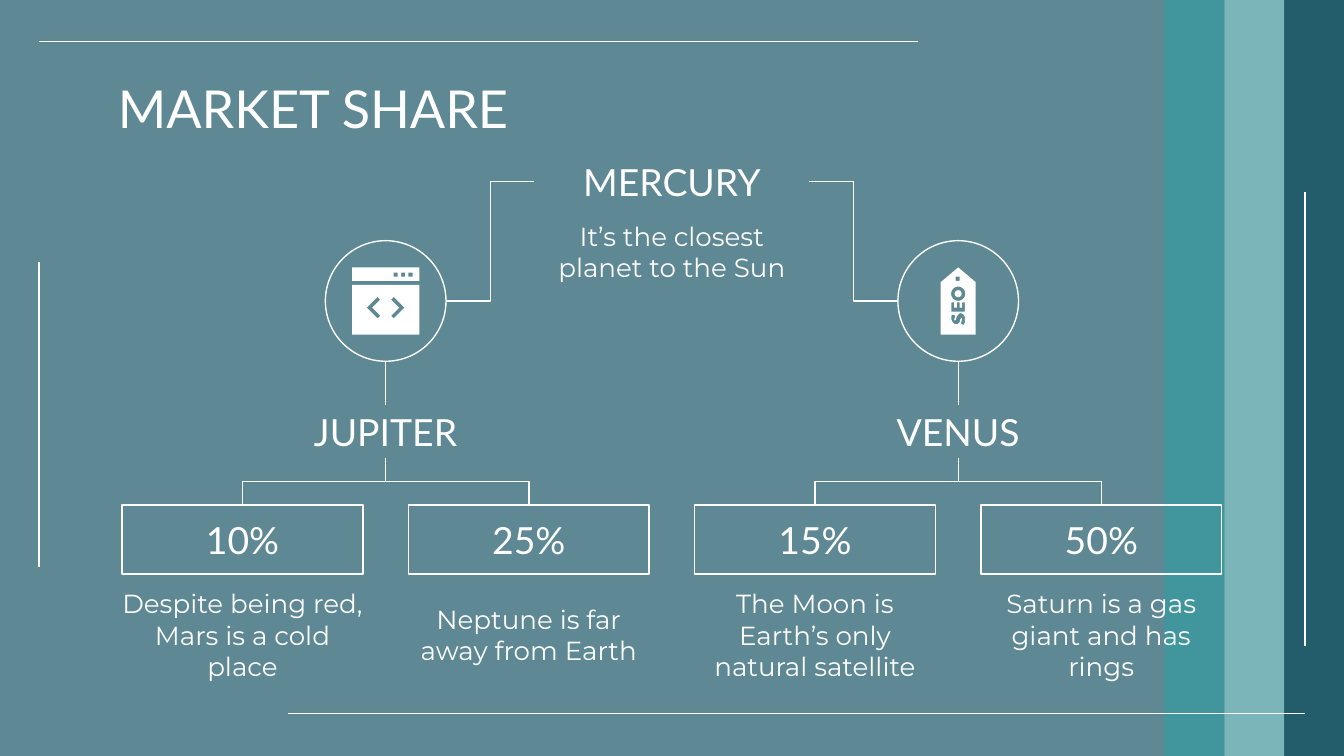
import math

from lxml import etree
from pptx import Presentation
from pptx.dml.color import RGBColor
from pptx.enum import shapes, text
from pptx.oxml.ns import qn
from pptx.util import Cm, Pt

COLORS = {"white": "FFFFFF", "deep": "014355", "pale": "98E0E0", "teal": "20A7A7"}
HEADING, BODY = "Lato", "Montserrat"
WIDTH, HEIGHT, MIDDLE = 25.4, 14.29, 12.7
STRIPE = 1.13
LABEL_WIDTH, LABEL_HEIGHT, BODY_HEIGHT = 5.2, 1.02, 1.6
COLUMN_PITCH = 5.41
CIRCLE, CIRCLE_Y = 2.28, 5.69
LABEL_TOP, LABEL_BOTTOM = 7.65, 8.65
BOX_TOP, BOX_WIDTH, BOX_HEIGHT = 9.55, 4.55, 1.3
ICON_SIZE, ICON_UNITS = 1.27, 50

BRANCHES = [
    ("JUPITER", [("10%", "Despite being red, Mars is a cold place"),
                 ("25%", "Neptune is far away from Earth")]),
    ("VENUS", [("15%", "The Moon is Earth’s only natural satellite"),
               ("50%", "Saturn is a gas giant and has rings")]),
]


def rgb(name):
    return RGBColor.from_string(COLORS[name])


def add_outline(slide, kind, left, top, width, height):
    """Add an unfilled preset shape with a thin white line."""
    shape = slide.shapes.add_shape(kind, Cm(left), Cm(top), Cm(width), Cm(height))
    shape.shadow.inherit = False
    shape.fill.background()
    shape.line.color.rgb = rgb("white")
    shape.line.width = Pt(0.75)
    return shape


def add_panel(slide, left, width, color, opacity):
    """Add a full-height translucent panel."""
    shape = add_outline(slide, shapes.MSO_SHAPE.RECTANGLE, left, 0, width, HEIGHT)
    shape.line.fill.background()
    shape.fill.solid()
    shape.fill.fore_color.rgb = rgb(color)
    fill_color = shape.fill._xPr.find(qn("a:solidFill"))[0]
    etree.SubElement(fill_color, qn("a:alpha")).set("val", str(opacity * 1000))


def write(shape, wording, size, font=HEADING, align=text.PP_ALIGN.CENTER,
          anchor=text.MSO_ANCHOR.MIDDLE):
    frame = shape.text_frame
    frame.word_wrap = True
    frame.vertical_anchor = anchor
    frame.margin_left = frame.margin_right = Cm(0.25)
    frame.margin_top = frame.margin_bottom = Cm(0.25)
    paragraph = frame.paragraphs[0]
    paragraph.text = wording
    paragraph.alignment = align
    paragraph.font.name = font
    paragraph.font.size = Pt(size)
    paragraph.font.color.rgb = rgb("white")


def add_label(slide, center, top, height, wording, size, font=HEADING):
    box = slide.shapes.add_textbox(Cm(center - LABEL_WIDTH / 2), Cm(top),
                                   Cm(LABEL_WIDTH), Cm(height))
    write(box, wording, size, font)


def add_line(slide, x1, y1, x2, y2, kind=shapes.MSO_CONNECTOR.STRAIGHT):
    connector = slide.shapes.add_connector(kind, Cm(x1), Cm(y1), Cm(x2), Cm(y2))
    connector.line.color.rgb = rgb("white")
    connector.line.width = Pt(0.75)
    etree.SubElement(connector._element.spPr, qn("a:effectLst"))
    return connector


def add_drop_elbow(slide, x1, y1, x2, y2):
    """Add an elbow that leaves downwards: a turned sideways elbow."""
    x, y = (x1 + x2) / 2, (y1 + y2) / 2
    side = 1 if x2 > x1 else -1
    half_run, half_drop = abs(x2 - x1) / 2, (y2 - y1) / 2
    connector = add_line(slide, x + side * half_drop, y - half_run,
                         x - side * half_drop, y + half_run,
                         shapes.MSO_CONNECTOR.ELBOW)
    angle = 270 if side > 0 else 90
    connector._element.spPr.xfrm.set("rot", str(angle * 60000))


def add_icon_part(slide, left, contours):
    """Fill the first contour; later ones are cut out. Points are icon units."""
    unit = Cm(ICON_SIZE) / ICON_UNITS
    scaled = [[(x * unit, y * unit) for x, y in contour] for contour in contours]
    builder = slide.shapes.build_freeform(*scaled[0][0], scale=1.0)
    for number, contour in enumerate(scaled):
        if number:
            builder.move_to(*contour[0])
        builder.add_line_segments(contour[1:], close=True)
    shape = builder.convert_to_shape(Cm(left), Cm(CIRCLE_Y - ICON_SIZE / 2))
    shape.shadow.inherit = False
    shape.fill.solid()
    shape.fill.fore_color.rgb = rgb("white")
    shape.line.fill.background()


def rectangle(left, top, right, bottom):
    return [(left, top), (right, top), (right, bottom), (left, bottom)]


def ring_edge(x, y, radius, steps=32):
    angles = [2 * math.pi * step / steps for step in range(steps)]
    return [(x + radius * math.cos(a), y + radius * math.sin(a)) for a in angles]


def add_code_window(slide, center):
    left = center - ICON_SIZE / 2
    buttons = [rectangle(x, 4, x + 3, 7) for x in (31, 36.5, 42)]
    add_icon_part(slide, left, [rectangle(0, 0, 50, 10)] + buttons)
    chevron = [(19, 22), (21, 24), (15, 30), (21, 36), (19, 38), (11, 30)]
    mirrored = [(ICON_UNITS - x, y) for x, y in chevron]
    add_icon_part(slide, left, [rectangle(0, 13, 50, 50), chevron, mirrored])


def add_seo_tag(slide, center):
    tag = [(13, 0), (26, 11), (26, 50), (0, 50), (0, 11)]
    letter_e = [(18, 26), (18, 33), (8, 33), (8, 26), (10, 26), (10, 30),
                (12, 30), (12, 26), (14, 26), (14, 30), (16, 30), (16, 26)]
    letter_s = [(15, 34), (17, 35), (18, 37), (18, 41), (17, 43), (15, 42),
                (15.5, 40), (16, 38), (15.5, 37.5), (15, 38), (14.5, 39),
                (14, 41), (13, 42), (12, 42.3), (10, 42), (9, 41), (8, 39),
                (8, 36), (9, 35), (11, 36), (10.5, 37.5), (10, 39),
                (10.5, 39.5), (11, 39.3), (11.5, 38), (12, 36.5), (13, 35),
                (14, 34.3)]
    add_icon_part(slide, center - 13 * ICON_SIZE / ICON_UNITS,
                  [tag, rectangle(11, 7, 14, 10), ring_edge(13, 19.6, 5.3),
                   ring_edge(13, 19.6, 2.6), letter_e, letter_s])


def add_backdrop(slide):
    add_panel(slide, 0, WIDTH, "deep", 63)
    for number, (color, opacity) in enumerate(
            [("deep", 63), ("pale", 50), ("teal", 47)], start=1):
        add_panel(slide, WIDTH - number * STRIPE, STRIPE, color, opacity)
    for ends in [(24.66, 3.63, 24.66, 12.22), (24.66, 13.49, 5.44, 13.49),
                 (0.74, 0.79, 17.35, 0.79), (0.74, 4.95, 0.74, 10.72)]:
        add_line(slide, *ends)


def add_share(slide, center, share, note):
    box = add_outline(slide, shapes.MSO_SHAPE.RECTANGLE, center - BOX_WIDTH / 2,
                      BOX_TOP, BOX_WIDTH, BOX_HEIGHT)
    write(box, share, 20)
    add_label(slide, center, 11.2, BODY_HEIGHT, note, 14, BODY)


def add_branch(slide, side, name, shares):
    """Add one half of the tree; side is -1 for left and 1 for right."""
    center = MIDDLE + side * COLUMN_PITCH
    add_outline(slide, shapes.MSO_SHAPE.OVAL, center - CIRCLE / 2,
                CIRCLE_Y - CIRCLE / 2, CIRCLE, CIRCLE)
    add_label(slide, center, LABEL_TOP, LABEL_HEIGHT, name, 20)
    add_line(slide, center - side * CIRCLE / 2, CIRCLE_Y,
             MIDDLE + side * LABEL_WIDTH / 2, 3.43, shapes.MSO_CONNECTOR.ELBOW)
    add_line(slide, center, CIRCLE_Y + CIRCLE / 2, center, LABEL_TOP)
    for offset, (share, note) in zip((-0.5, 0.5), shares):
        column = center + offset * 2 * COLUMN_PITCH / 2
        add_share(slide, column, share, note)
        add_drop_elbow(slide, center, LABEL_BOTTOM, column, BOX_TOP)


def main():
    presentation = Presentation()
    presentation.slide_width, presentation.slide_height = Cm(WIDTH), Cm(HEIGHT)
    slide = presentation.slides.add_slide(presentation.slide_layouts[6])
    add_backdrop(slide)
    title = slide.shapes.add_textbox(Cm(1.98), Cm(1.19), Cm(21.44), Cm(1.3))
    write(title, "MARKET SHARE", 28, align=text.PP_ALIGN.LEFT,
          anchor=text.MSO_ANCHOR.TOP)
    add_label(slide, MIDDLE, 2.92, LABEL_HEIGHT, "MERCURY", 20)
    add_label(slide, MIDDLE, 3.96, BODY_HEIGHT,
              "It’s the closest planet to the Sun", 14, BODY)
    for side, (name, shares) in zip((-1, 1), BRANCHES):
        add_branch(slide, side, name, shares)
    add_code_window(slide, MIDDLE - COLUMN_PITCH)
    add_seo_tag(slide, MIDDLE + COLUMN_PITCH)
    presentation.save("out.pptx")


if __name__ == "__main__":
    main()
